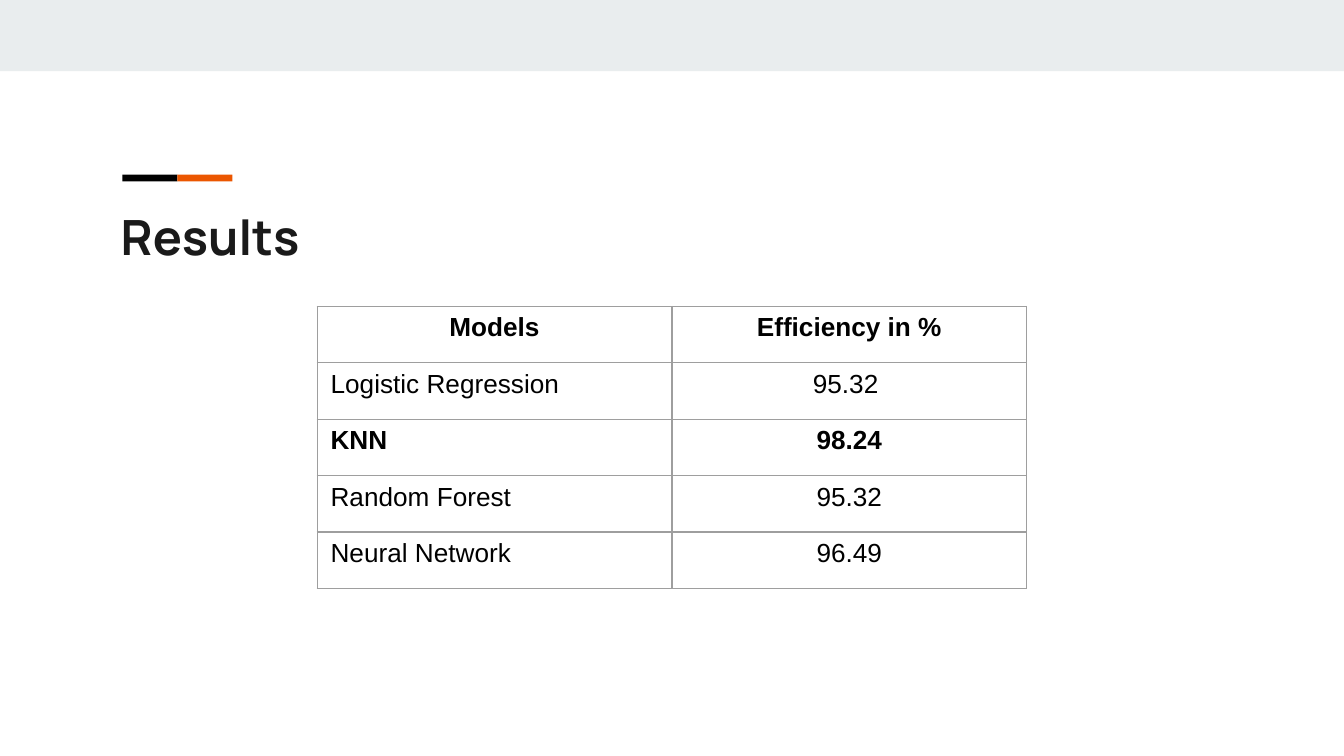
from lxml.etree import SubElement
from pptx import Presentation
from pptx.dml.color import RGBColor
from pptx.enum.shapes import MSO_SHAPE
from pptx.enum.text import MSO_ANCHOR, PP_ALIGN
from pptx.oxml.ns import qn
from pptx.util import Inches, Pt

THEME = {
    "band": "E9EDEE", "black": "000000", "orange": "EB5600",
    "title": "1A1A1A", "border": "9E9E9E",
    "title_font": "Manrope", "table_font": "Arial",
    "title_size": Pt(26), "table_size": Pt(14), "border_width": Pt(0.75),
}

# Widescreen 16:9 page
presentation = Presentation()
presentation.slide_width = Inches(10)
presentation.slide_height = presentation.slide_width * 9 // 16
slide = presentation.slides.add_slide(presentation.slide_layouts[6])


def add_bar(left, top, width, height, color):
    shape = slide.shapes.add_shape(MSO_SHAPE.RECTANGLE, left, top, width, height)
    shape.shadow.inherit = False
    shape.fill.solid()
    shape.fill.fore_color.rgb = RGBColor.from_string(THEME[color])
    shape.line.fill.background()


def style_text(paragraph, font, size, color, bold):
    paragraph.font.name = THEME[font]
    paragraph.font.size = THEME[size]
    paragraph.font.color.rgb = RGBColor.from_string(THEME[color])
    paragraph.font.bold = bold


# Top band and two-colour accent
add_bar(0, 0, presentation.slide_width, Inches(0.53), "band")
accent_width = Inches(0.41)
for index, color in enumerate(("black", "orange")):
    add_bar(Inches(0.91) + index * accent_width, Inches(1.3),
            accent_width, Inches(0.05), color)

# Title
title = slide.shapes.add_textbox(Inches(0.8), Inches(1.44), Inches(8.41), Inches(0.59))
frame = title.text_frame
frame.word_wrap = True
frame.margin_left = frame.margin_right = Inches(0.1)
frame.margin_top = frame.margin_bottom = Inches(0.1)
frame.text = "Results"
style_text(frame.paragraphs[0], "title_font", "title_size", "title", True)

# Results table, centred on the slide
rows = [
    ("Models", "Efficiency in %"),
    ("Logistic Regression", "95.32 "),
    ("KNN", "98.24"),
    ("Random Forest", "95.32"),
    ("Neural Network", "96.49"),
]
bold_rows = {"Models", "KNN"}
column_width, row_height = Inches(2.64), Inches(0.42)
table_width = 2 * column_width
table = slide.shapes.add_table(
    len(rows), 2, (presentation.slide_width - table_width) // 2, Inches(2.28),
    table_width, len(rows) * row_height).table
table.first_row = table.horz_banding = False

for row_index, row in enumerate(rows):
    for column_index, text in enumerate(row):
        cell = table.cell(row_index, column_index)
        cell.text = text
        cell.vertical_anchor = MSO_ANCHOR.TOP
        cell.margin_left = cell.margin_right = Inches(0.1)
        cell.margin_top = cell.margin_bottom = Inches(0.05)
        paragraph = cell.text_frame.paragraphs[0]
        centered = row_index == 0 or column_index == 1
        paragraph.alignment = PP_ALIGN.CENTER if centered else PP_ALIGN.LEFT
        style_text(paragraph, "table_font", "table_size", "black", row[0] in bold_rows)

        # Cell borders come before the fill in the XML
        properties = cell._tc.get_or_add_tcPr()
        for side in ("a:lnL", "a:lnR", "a:lnT", "a:lnB"):
            line = SubElement(properties, qn(side), w=str(THEME["border_width"]))
            fill = SubElement(line, qn("a:solidFill"))
            SubElement(fill, qn("a:srgbClr"), val=THEME["border"])
        cell.fill.background()

presentation.save("out.pptx")
